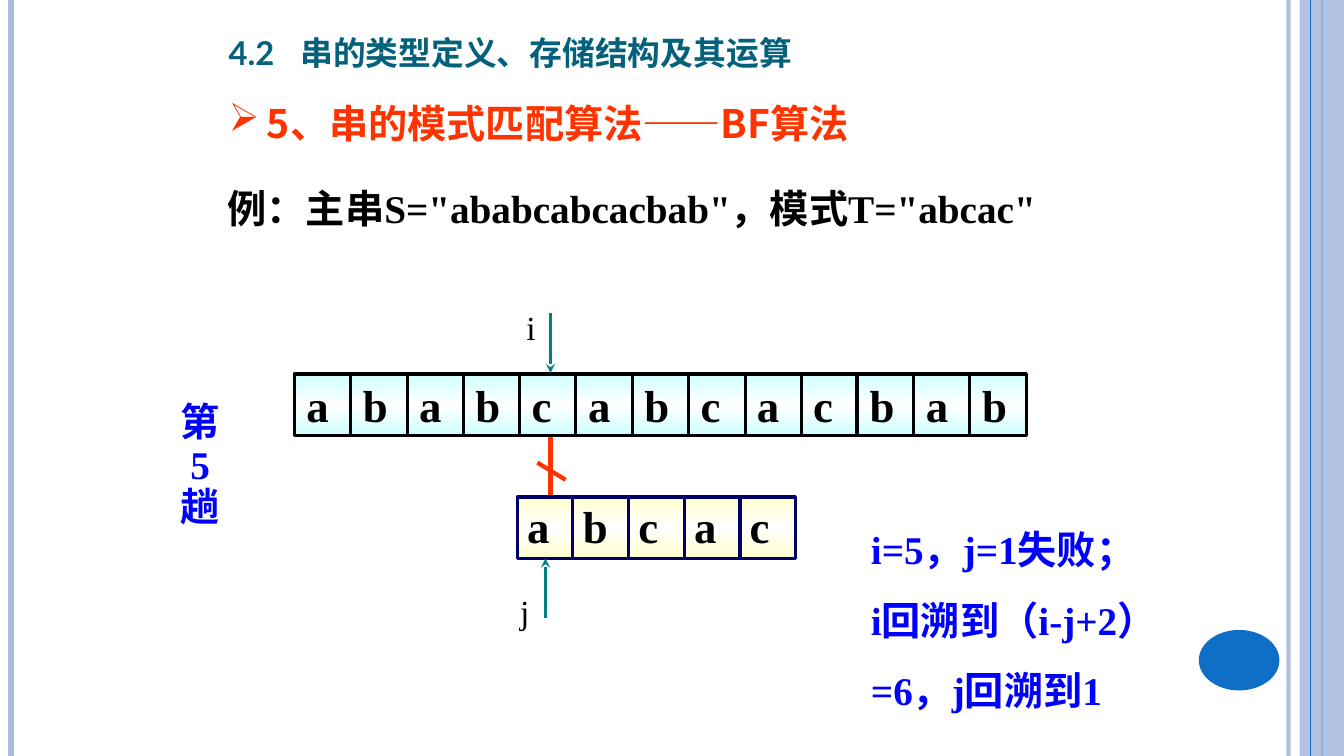
import copy
from dataclasses import dataclass

import pptx
import pptx.dml.color
import pptx.enum.shapes
import pptx.enum.text
import pptx.oxml
import pptx.oxml.ns
import pptx.util

PX = 9144  # EMU per px, 100 px to the inch
SHAPE = pptx.enum.shapes.MSO_SHAPE
ALIGN = pptx.enum.text.PP_ALIGN
ANCHOR = pptx.enum.text.MSO_ANCHOR
qn = pptx.oxml.ns.qn


@dataclass(frozen=True)
class Theme:
    serif: str = "Times New Roman"
    sans: str = "Lato"
    cjk: str = "Noto Sans CJK SC"
    border: str = "ABBBDF"
    accent: str = "0F6FC6"
    title: str = "04617B"
    red: str = "FF3300"
    blue: str = "0000FF"
    black: str = "000000"
    white: str = "FFFFFF"
    teal: str = "008080"
    navy: str = "000066"
    cyan: str = "CCFFFF"
    cream: str = "FFFFCC"
    title_pt: float = 29.2
    body_pt: int = 28
    letter_pt: int = 32
    label_pt: int = 24
    rule_pt: float = 2.25


T = Theme()


@dataclass(frozen=True)
class Line:
    x1: int
    y1: int
    x2: int
    y2: int
    color: str
    pt: float
    alpha: int = 100
    arrow: bool = False


@dataclass(frozen=True)
class Strip:
    letters: str
    x: int
    y: int
    w: int
    h: int
    inset: int
    fill: str
    line: str
    spacing: float


@dataclass(frozen=True)
class Pointer:
    name: str
    label_x: int
    label_y: int
    x: int
    y_from: int
    y_to: int


def rgb(color: str):
    return pptx.dml.color.RGBColor.from_string(color)


def add_xml(parent, tag: str, **attrs):
    el = pptx.oxml.ns  # namespaces for the new element
    el = parent.makeelement(qn(tag), {k: str(v) for k, v in attrs.items()})
    parent.append(el)
    return el


def set_alpha(parent, percent: int):
    if percent < 100:
        add_xml(parent.find(".//" + qn("a:srgbClr")), "a:alpha", val=percent * 1000)


def draw_line(s, d: Line):
    c = s.shapes.add_connector(pptx.enum.shapes.MSO_CONNECTOR.STRAIGHT,
                               d.x1 * PX, d.y1 * PX, d.x2 * PX, d.y2 * PX)
    c.line.color.rgb = rgb(d.color)
    c.line.width = pptx.util.Pt(d.pt)
    spPr = c._element.spPr
    set_alpha(spPr, d.alpha)
    if d.arrow:
        add_xml(spPr.find(qn("a:ln")), "a:tailEnd", type="stealth")
    add_xml(spPr, "a:effectLst")


def draw_shape(s, kind, x: int, y: int, w: int, h: int, fill: str, alpha: int = 100):
    sp = s.shapes.add_shape(kind, x * PX, y * PX, w * PX, h * PX)
    sp.shadow.inherit = False
    sp.fill.solid()
    sp.fill.fore_color.rgb = rgb(fill)
    set_alpha(sp._element.spPr, alpha)
    sp.line.fill.background()
    return sp


def write(sp, text: str, *, size: float, color: str, font: str = T.serif, bold: bool = True,
          align=ALIGN.LEFT, anchor=ANCHOR.TOP, spacing: float = 1.0,
          inset: tuple = (10, 5, 10, 5), bullet: str = "", indent: int = 0,
          tabs: tuple = (), small_caps: bool = False):
    """Fill a shape; each line of text becomes a paragraph."""
    tf = sp.text_frame
    tf.word_wrap = True
    tf.vertical_anchor = anchor
    tf.margin_left, tf.margin_top, tf.margin_right, tf.margin_bottom = (v * PX for v in inset)
    for n, line in enumerate(text.split("\n")):
        p = tf.paragraphs[0] if n == 0 else tf.add_paragraph()
        p.alignment = align
        p.line_spacing = spacing
        pPr = p._p.get_or_add_pPr()
        if bullet:
            pPr.set("marL", str(indent * PX))
            pPr.set("indent", str(-indent * PX))
            add_xml(add_xml(pPr, "a:buClr"), "a:srgbClr", val=color)
            add_xml(pPr, "a:buChar", char=bullet)
        if tabs:
            tab_list = add_xml(pPr, "a:tabLst")
            for pos in tabs:
                add_xml(tab_list, "a:tab", pos=round(pos * PX), algn="l")
        r = p.add_run()
        r.text = line
        r.font.name = font
        r.font.size = pptx.util.Pt(size)
        r.font.bold = bold
        r.font.color.rgb = rgb(color)
        rPr = r._r.get_or_add_rPr()
        add_xml(rPr, "a:ea", typeface=T.cjk)
        if small_caps:
            rPr.set("cap", "small")


def add_text(s, x: int, y: int, w: int, h: int, text: str, **fmt):
    write(s.shapes.add_textbox(x * PX, y * PX, w * PX, h * PX), text, **fmt)


def draw_strip(s, d: Strip):
    """A row of equal cells, with one letter in each."""
    sp = draw_shape(s, SHAPE.RECTANGLE, d.x, d.y, d.w, d.h, d.fill)
    sp.fill.gradient()
    sp.fill.gradient_angle = 90
    stops = sp._element.spPr.find(".//" + qn("a:gsLst"))
    stops.insert(1, copy.deepcopy(stops[0]))
    for stop, pos, color in zip(sp.fill.gradient_stops, (0, 0.5, 1), (d.fill, T.white, d.fill)):
        stop.position = pos
        stop.color.rgb = rgb(color)
    sp.line.color.rgb = rgb(d.line)
    sp.line.width = pptx.util.Pt(T.rule_pt)
    cell = d.w / len(d.letters)
    steps = tuple(cell * n for n in range(1, len(d.letters)))
    write(sp, "\t".join(d.letters), size=T.letter_pt, color=T.black, anchor=ANCHOR.MIDDLE,
          spacing=d.spacing, inset=(d.inset, 0, 2, 0), tabs=steps)
    for step in steps:
        x = round(d.x + step)
        draw_line(s, Line(x, d.y, x, d.y + d.h, d.line, T.rule_pt))


def draw_pointer(s, d: Pointer):
    draw_line(s, Line(d.x, d.y_from, d.x, d.y_to, T.teal, T.rule_pt, arrow=True))
    add_text(s, d.label_x, d.label_y, 25, 50, d.name, size=T.label_pt, color=T.black,
             bold=False, inset=(0, 5, 0, 5))


def main():
    prs = pptx.Presentation()
    prs.slide_width, prs.slide_height = 1333 * PX, 750 * PX
    s = prs.slides.add_slide(prs.slide_layouts[6])

    # Side borders and the page badge
    draw_line(s, Line(1278, 0, 1278, 750, T.border, 3, alpha=93))
    draw_line(s, Line(11, 0, 11, 750, T.border, 4.5))
    draw_line(s, Line(1311, 0, 1311, 750, T.accent, 1.5))
    draw_shape(s, SHAPE.RECTANGLE, 1289, 0, 44, 750, T.border, alpha=87)
    draw_line(s, Line(1300, 0, 1300, 750, T.accent, 0.75))
    draw_shape(s, SHAPE.OVAL, 1189, 625, 80, 60, T.accent)

    # Headings and example
    add_text(s, 217, 84, 966, 65, "5、串的模式匹配算法——BF算法", size=T.body_pt, color=T.red,
             font=T.cjk, spacing=1.2, bullet="➢", indent=38)
    add_text(s, 217, 18, 817, 61, "4.2\t串的类型定义、存储结构及其运算", size=T.title_pt,
             color=T.title, font=T.sans, anchor=ANCHOR.BOTTOM, spacing=0.9, tabs=(71,),
             small_caps=True)
    add_text(s, 216, 178, 892, 57, '例：主串S="ababcabcacbab"，模式T="abcac"',
             size=T.body_pt, color=T.black)

    # Main string, pattern and the failed comparison between them
    draw_strip(s, Strip("ababcabcacbab", 292, 371, 726, 61, 12, T.cyan, T.black, 1.0))
    draw_line(s, Line(546, 434, 546, 495, T.red, 3))
    draw_line(s, Line(533, 459, 561, 476, T.red, 3))
    draw_strip(s, Strip("abcac", 513, 493, 276, 61, 10, T.cream, T.navy, 0.96))

    # Index pointers
    for pointer in (Pointer("i", 522, 300, 546, 311, 370),
                    Pointer("j", 516, 581, 541, 613, 554)):
        draw_pointer(s, pointer)

    # Pass number and result
    add_text(s, 170, 395, 57, 137, "第\n5\n趟", size=T.body_pt, color=T.blue,
             align=ALIGN.CENTER, spacing=0.9, inset=(0, 5, 0, 5))
    add_text(s, 854, 493, 370, 222, "i=5，j=1失败；\ni回溯到（i-j+2）=6，j回溯到1",
             size=T.body_pt, color=T.blue, spacing=1.5)

    prs.save("out.pptx")


if __name__ == "__main__":
    main()
